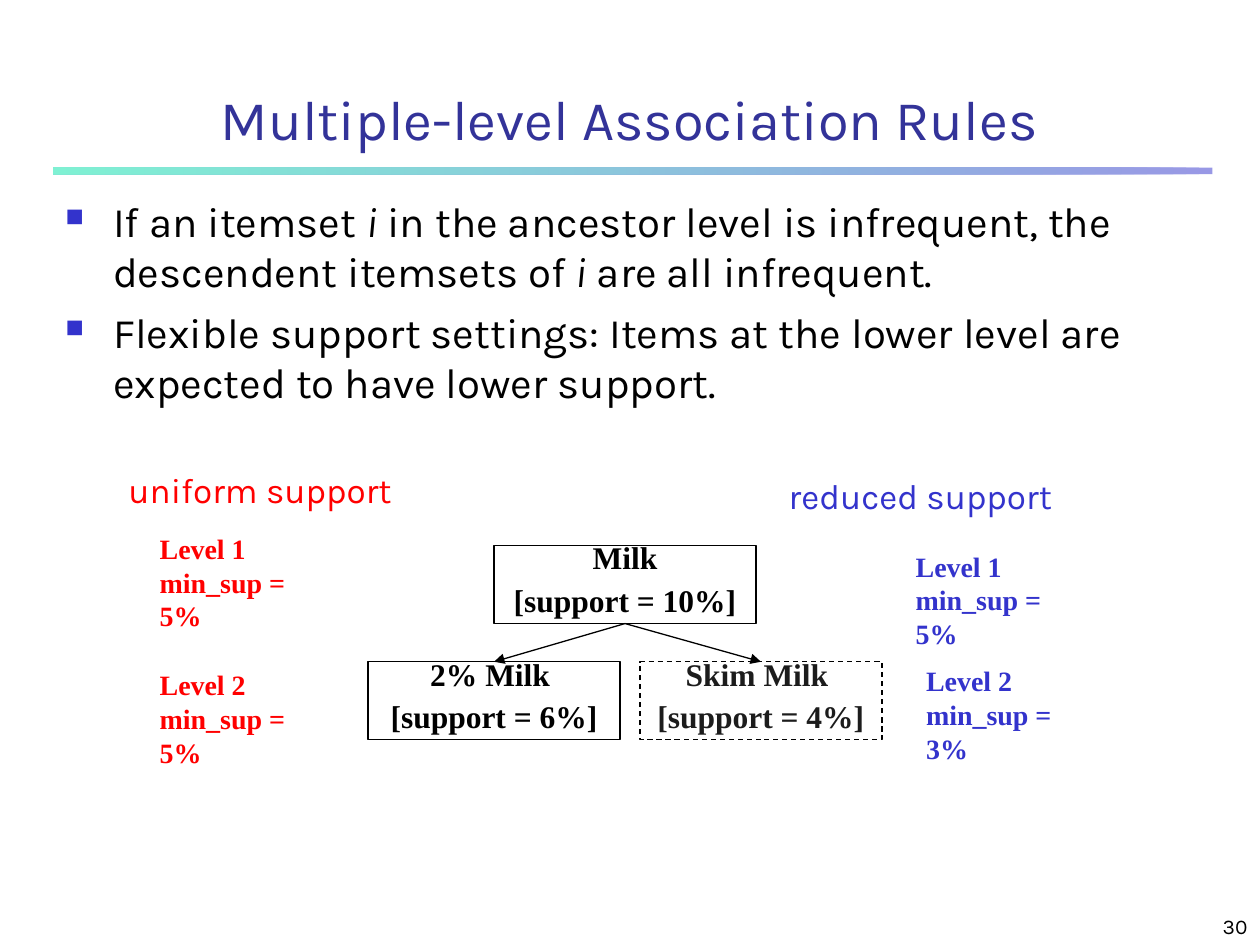
import pptx
import pptx.dml.color
import pptx.enum.dml
import pptx.enum.shapes
import pptx.enum.text
import pptx.oxml
import pptx.oxml.ns
import pptx.util
from pptx.util import Cm, Pt

RGB = pptx.dml.color.RGBColor
ALIGN = pptx.enum.text.PP_ALIGN
ANCHOR = pptx.enum.text.MSO_ANCHOR
SHAPE = pptx.enum.shapes.MSO_SHAPE
BLACK = RGB(0, 0, 0)
WHITE = RGB(255, 255, 255)
GRAY = RGB(0x1C, 0x1C, 0x1C)
RED = RGB(255, 0, 0)
BLUE = RGB(0x33, 0x33, 0xCC)
NAVY = RGB(0x33, 0x33, 0x99)
MINT = RGB(0x00, 0xE4, 0xA8)
SANS, SERIF = "Karla", "Times New Roman"

TITLE = "Multiple-level Association Rules"
PAGE = "30"
# Each point is a list of (text, italic) runs
POINTS = [
    [("If an itemset ", False), ("i", True),
     (" in the ancestor level is infrequent, the descendent itemsets of ", False),
     ("i", True), (" are all infrequent.", False)],
    [("Flexible support settings: Items at the lower level are "
      "expected to have lower support.", False)],
]
# Places are left, top, width, height in cm
HEADS = [
    ("uniform support", RED, (2.34, 9.32, 6.78, 1.27), 5, True),
    ("reduced support", BLUE, (15.65, 9.45, 6.05, 1.12), 0, False),
]
NOTES = [
    ("Level 1\nmin_sup = 5%", RED, 2.97, 10.59),
    ("Level 2\nmin_sup = 5%", RED, 2.97, 13.34),
    ("Level 1\nmin_sup = 5%", BLUE, 18.21, 10.95),
    ("Level 2\nmin_sup = 3%", BLUE, 18.42, 13.26),
]
# The first box is the parent of the others
BOXES = [
    ("Milk\n[support = 10%]", BLACK, 9.96, 11, 5.28, False),
    ("2% Milk \n[support = 6%]", BLACK, 7.42, 13.34, 5.08, False),
    ("Skim Milk \n[support = 4%]", GRAY, 12.9, 13.34, 4.88, True),
]


def child(parent, tag, **attrs):
    """Append an XML element and return it."""
    node = parent.makeelement(pptx.oxml.ns.qn(tag), attrs)
    parent.append(node)
    return node


def fade(fill):
    """Make every colour inside a shape's fill half transparent."""
    for node in fill.iter(pptx.oxml.ns.qn("a:srgbClr")):
        child(node, "a:alpha", val="50000")


def style(frame, font, size, color, bold=False, align=ALIGN.LEFT, gap=0, line=None):
    for para in frame.paragraphs:
        para.alignment = align
        para.space_before = Pt(gap)
        if line:
            para.line_spacing = line
        for run in para.runs:
            run.font.name, run.font.size = font, Pt(size)
            run.font.bold = bold
            run.font.color.rgb = color


def label(slide, text, place, wrap=True, anchor=ANCHOR.TOP):
    frame = slide.shapes.add_textbox(*map(Cm, place)).text_frame
    frame.word_wrap = wrap
    frame.vertical_anchor = anchor
    frame.text = text
    return frame


def add_rule(slide):
    rule = slide.shapes.add_shape(SHAPE.RECTANGLE, Cm(1.07), Cm(3.38), Cm(23.37), Cm(0.13))
    rule.shadow.inherit = False
    rule.line.fill.background()
    rule.fill.gradient()
    rule.fill.gradient_angle = 180
    for stop, color, spot in zip(rule.fill.gradient_stops, (BLUE, MINT), (0, 1)):
        stop.color.rgb = color
        stop.position = spot
    fade(rule.element.spPr.find(pptx.oxml.ns.qn("a:gradFill")))


def add_points(slide):
    frame = label(slide, "", (1.07, 3.81, 23.29, 14.17))
    for n, runs in enumerate(POINTS):
        para = frame.add_paragraph() if n else frame.paragraphs[0]
        for text, slant in runs:
            run = para.add_run()
            run.text = text
            run.font.italic = slant
    style(frame, SANS, 24, BLACK, gap=6)
    for para in frame.paragraphs:
        props = para._p.get_or_add_pPr()
        props.set("marL", str(Cm(0.96)))
        props.set("indent", str(-Cm(0.96)))
        child(child(props, "a:buClr"), "a:srgbClr", val=str(BLUE))
        child(props, "a:buSzPct", val="60000")
        child(props, "a:buChar", char="■")


def add_box(slide, text, color, left, top, width, dashed):
    box = slide.shapes.add_shape(SHAPE.RECTANGLE, Cm(left), Cm(top), Cm(width), Cm(1.57))
    box.shadow.inherit = False
    box.fill.solid()
    box.fill.fore_color.rgb = WHITE
    box.line.color.rgb = BLACK
    box.line.width = Pt(0.75)
    if dashed:
        box.line.dash_style = pptx.enum.dml.MSO_LINE.DASH
        fade(box.element.spPr.find(pptx.oxml.ns.qn("a:solidFill")))
    frame = box.text_frame
    frame.word_wrap = True
    frame.vertical_anchor = ANCHOR.TOP
    frame.text = text
    style(frame, SERIF, 18, color, True, ALIGN.CENTER, 11.2, 0.6)
    return box


def add_arrow(slide, start, end):
    """Draw an arrow from the foot of one box to the top of another."""
    arrow = slide.shapes.add_connector(
        pptx.enum.shapes.MSO_CONNECTOR.STRAIGHT, 0, 0, 0, 0)
    arrow.begin_connect(start, 2)
    arrow.end_connect(end, 0)
    arrow.line.color.rgb = BLACK
    arrow.line.width = Pt(0.75)
    child(arrow.line._get_or_add_ln(), "a:tailEnd", type="triangle")
    child(arrow.element.spPr, "a:effectLst")


def main():
    deck = pptx.Presentation()
    deck.slide_width, deck.slide_height = Cm(25.4), Cm(19.05)
    slide = deck.slides.add_slide(deck.slide_layouts[6])

    add_rule(slide)
    title = label(slide, TITLE, (0, 1.07, 25.4, 2.11), anchor=ANCHOR.BOTTOM)
    style(title, SANS, 32, NAVY, align=ALIGN.CENTER)
    add_points(slide)
    for text, color, place, gap, wrap in HEADS:
        style(label(slide, text, place, wrap), SANS, 20, color, gap=gap)
    root, *kids = [add_box(slide, *box) for box in BOXES]
    for text, color, left, top in NOTES:
        note = label(slide, text, (left, top, 4.01, 1.63), wrap=False)
        style(note, SERIF, 16, color, bold=True)
    for kid in kids:
        add_arrow(slide, root, kid)
    page = label(slide, PAGE, (20.12, 17.98, 5.28, 1.07), anchor=ANCHOR.BOTTOM)
    style(page, SANS, 12, BLACK, align=ALIGN.RIGHT)
    deck.save("out.pptx")


if __name__ == "__main__":
    main()
